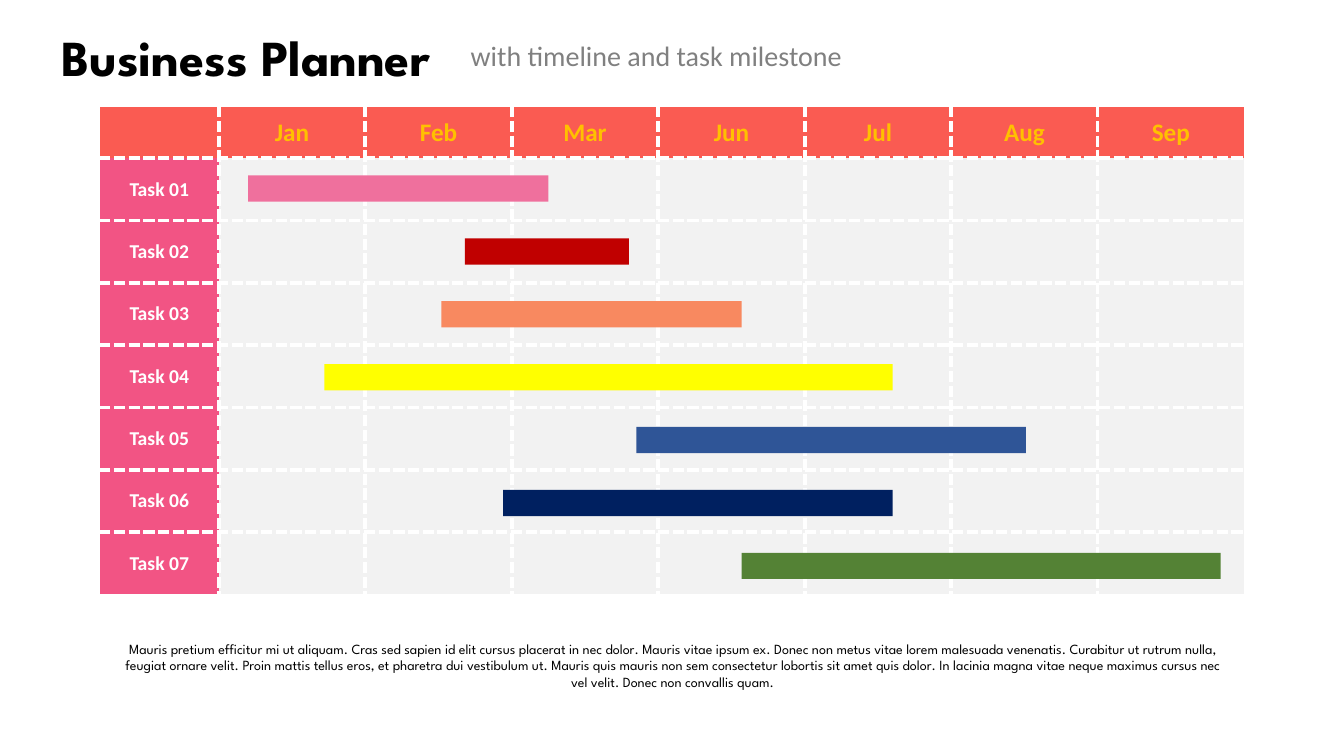
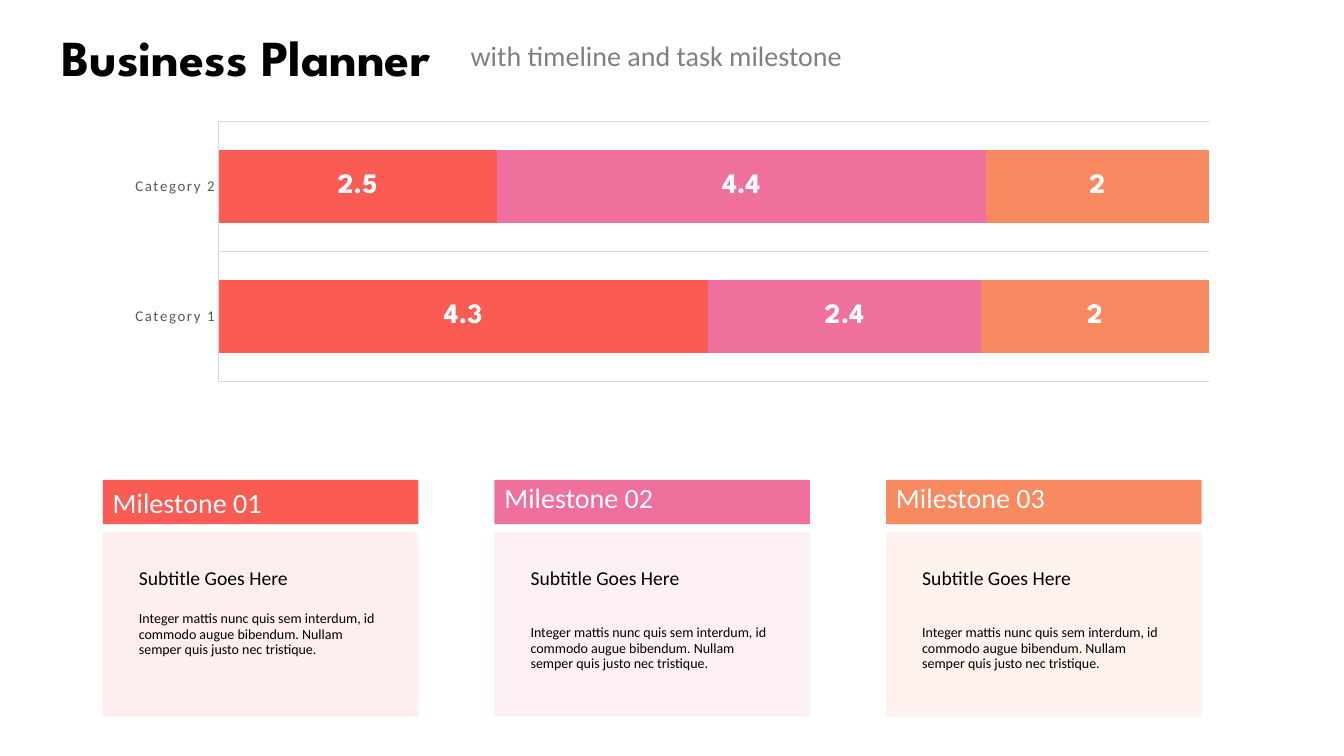
from dataclasses import dataclass

import lxml.etree
import pptx
import pptx.chart.data
import pptx.dml.color
import pptx.enum.chart
import pptx.enum.shapes
import pptx.enum.text
import pptx.oxml
import pptx.oxml.ns
import pptx.util

RGBColor = pptx.dml.color.RGBColor
Pt = pptx.util.Pt
Align = pptx.enum.text.PP_ALIGN
Anchor = pptx.enum.text.MSO_ANCHOR
qn = pptx.oxml.ns.qn

WIDTH, HEIGHT = pptx.util.Inches(13.33), pptx.util.Inches(7.5)

BLACK = RGBColor(0x00, 0x00, 0x00)
WHITE = RGBColor(0xFF, 0xFF, 0xFF)
GRAY = RGBColor(0x80, 0x80, 0x80)
SLATE = RGBColor(0x59, 0x59, 0x59)
RULE = RGBColor(0xD9, 0xD9, 0xD9)
PALE = RGBColor(0xF2, 0xF2, 0xF2)
GOLD = RGBColor(0xFF, 0xC0, 0x00)
CORAL = RGBColor(0xFA, 0x5B, 0x52)
ROSE = RGBColor(0xF2, 0x54, 0x84)
PINK = RGBColor(0xEF, 0x70, 0x9D)
PEACH = RGBColor(0xF8, 0x89, 0x60)
RED = RGBColor(0xC0, 0x00, 0x00)
YELLOW = RGBColor(0xFF, 0xFF, 0x00)
BLUE = RGBColor(0x2F, 0x55, 0x97)
NAVY = RGBColor(0x00, 0x20, 0x60)
GREEN = RGBColor(0x54, 0x82, 0x35)

HEAD_FONT, BODY_FONT = "League Spartan", "Calibri"

# Lengths are percent of the slide's width or height.
TABLE_X, TABLE_Y = 7.43, 14.13
TASK_W, MONTH_W = 8.85, 10.9
HEAD_H, TASK_H = 6.8, 8.25
BAR_Y, BAR_STEP, BAR_H = 23.2, 8.32, 3.47
CARD_X, CARD_STEP, CARD_W = 7.65, 29.14, 23.48
CARD_PAD = 1.95

MONTHS = ("Jan", "Feb", "Mar", "Jun", "Jul", "Aug", "Sep")
NOTE = (
    "Mauris pretium efficitur mi ut aliquam. Cras sed sapien id elit cursus placerat in nec dolor. "
    "Mauris vitae ipsum ex. Donec non metus vitae lorem malesuada venenatis. Curabitur ut rutrum "
    "nulla, feugiat ornare velit. Proin mattis tellus eros, et pharetra dui vestibulum ut. Mauris "
    "quis mauris non sem consectetur lobortis sit amet quis dolor. In lacinia magna vitae neque "
    "maximus cursus nec vel velit. Donec non convallis quam."
)
DETAIL = (
    "Integer mattis nunc quis sem interdum, id commodo augue bibendum. "
    "Nullam semper quis justo nec tristique."
)


@dataclass(frozen=True)
class Task:
    """A bar whose start and span are counted in months."""
    name: str
    start: float
    span: float
    color: RGBColor


@dataclass(frozen=True)
class Card:
    name: str
    color: RGBColor
    detail_y: float = 82.13
    anchor: Anchor = Anchor.TOP
    spacing: float = 0.9


@dataclass(frozen=True)
class Series:
    name: str
    values: tuple[float, ...]
    color: RGBColor


TASKS = (
    Task("Task 01", 0.2, 2.05, PINK),
    Task("Task 02", 1.68, 1.12, RED),
    Task("Task 03", 1.52, 2.05, PEACH),
    Task("Task 04", 0.72, 3.88, YELLOW),
    Task("Task 05", 2.85, 2.66, BLUE),
    Task("Task 06", 1.94, 2.66, NAVY),
    Task("Task 07", 3.57, 3.27, GREEN),
)
CARDS = (
    Card("Milestone 01", CORAL, 80.27, Anchor.MIDDLE, 1.0),
    Card("Milestone 02", PINK),
    Card("Milestone 03", PEACH),
)
SERIES = (
    Series("Series 1", (4.3, 2.5), CORAL),
    Series("Series 2", (2.4, 4.4), PINK),
    Series("Series 3", (2, 2), PEACH),
)


def across(share: float) -> int:
    return round(WIDTH * share / 100)


def down(share: float) -> int:
    return round(HEIGHT * share / 100)


def place(x: float, y: float, w: float, h: float) -> tuple[int, int, int, int]:
    return across(x), down(y), across(w), down(h)


def style(font, size: float, color: RGBColor, face: str = BODY_FONT, bold: bool = False) -> None:
    font.size, font.name, font.bold = Pt(size), face, bold
    font.color.rgb = color


def write(frame, text: str, *, size: float, color: RGBColor = BLACK, face: str = BODY_FONT,
          bold: bool = False, align: Align = Align.LEFT, anchor: Anchor = Anchor.TOP,
          spacing: float = 1.0) -> None:
    frame.word_wrap = True
    frame.vertical_anchor = anchor
    line = frame.paragraphs[0]
    line.alignment, line.line_spacing = align, spacing
    run = line.add_run()
    run.text = text
    style(run.font, size, color, face, bold)


def add_text(slide, box: tuple[int, int, int, int], text: str, **look) -> None:
    write(slide.shapes.add_textbox(*box).text_frame, text, **look)


def add_block(slide, box: tuple[int, int, int, int], color: RGBColor, alpha: int = 100):
    block = slide.shapes.add_shape(pptx.enum.shapes.MSO_SHAPE.RECTANGLE, *box)
    block.shadow.inherit = False
    block.fill.solid()
    block.fill.fore_color.rgb = color
    block.line.fill.background()
    if alpha < 100:
        tint = block._element.spPr.find(qn("a:solidFill")).find(qn("a:srgbClr"))
        lxml.etree.SubElement(tint, qn("a:alpha")).set("val", str(alpha * 1000))
    return block


def start_slide(deck):
    """Add a slide with the shared title and tagline."""
    slide = deck.slides.add_slide(deck.slide_layouts[5])
    title = slide.shapes.title
    title.left, title.top, title.width, title.height = place(2.4, 3.47, 31.8, 8)
    title.text_frame.auto_size = pptx.enum.text.MSO_AUTO_SIZE.NONE
    write(title.text_frame, "Business Planner", size=36, face=HEAD_FONT, bold=True,
          align=Align.CENTER, anchor=Anchor.MIDDLE)
    add_text(slide, place(34.28, 4.4, 35.25, 5.87), "with timeline and task milestone",
             size=20, color=GRAY, anchor=Anchor.MIDDLE)
    return slide


def dash_edges(cell, sides: str) -> None:
    """Put dashed white lines on the given sides, a subset of LRTB in that order."""
    props = cell._tc.get_or_add_tcPr()
    for spot, side in enumerate(sides):
        edge = lxml.etree.Element(qn(f"a:ln{side}"), w=str(Pt(3)))
        fill = lxml.etree.SubElement(edge, qn("a:solidFill"))
        lxml.etree.SubElement(fill, qn("a:srgbClr"), val=str(WHITE))
        lxml.etree.SubElement(edge, qn("a:prstDash"), val="sysDash")
        props.insert(spot, edge)


def paint_cell(cell, row: int, col: int) -> None:
    cell.fill.solid()
    cell.fill.fore_color.rgb = CORAL if row == 0 else ROSE if col == 0 else PALE
    inner = {"L": col > 0, "R": col < len(MONTHS), "T": row > 0, "B": row < len(TASKS)}
    dash_edges(cell, "".join(side for side, shown in inner.items() if shown))
    cell.vertical_anchor = Anchor.MIDDLE
    look = dict(bold=True, align=Align.CENTER, anchor=Anchor.MIDDLE)
    if row == 0 and col > 0:
        cell.margin_left = cell.margin_right = cell.margin_top = cell.margin_bottom = 0
        write(cell.text_frame, MONTHS[col - 1], size=18, color=GOLD, **look)
    elif col == 0 and row > 0:
        write(cell.text_frame, TASKS[row - 1].name, size=14, color=WHITE, **look)


def add_plan(slide) -> None:
    rows, cols = len(TASKS) + 1, len(MONTHS) + 1
    box = place(TABLE_X, TABLE_Y, TASK_W + MONTH_W * len(MONTHS), HEAD_H + TASK_H * len(TASKS))
    table = slide.shapes.add_table(rows, cols, *box).table
    table.first_row = table.horz_banding = False
    for col in range(cols):
        table.columns[col].width = across(MONTH_W if col else TASK_W)
    for row in range(rows):
        table.rows[row].height = down(TASK_H if row else HEAD_H)
        for col in range(cols):
            paint_cell(table.cell(row, col), row, col)


def add_bars(slide) -> None:
    for row, task in enumerate(TASKS):
        x = TABLE_X + TASK_W + task.start * MONTH_W
        add_block(slide, place(x, BAR_Y + row * BAR_STEP, task.span * MONTH_W, BAR_H), task.color)


def add_chart(slide) -> None:
    data = pptx.chart.data.CategoryChartData()
    data.categories = ["Category 1", "Category 2"]
    for item in SERIES:
        data.add_series(item.name, item.values)
    kind = pptx.enum.chart.XL_CHART_TYPE.BAR_STACKED_100
    chart = slide.shapes.add_chart(kind, *place(8.4, 15.33, 83.2, 35.87), data).chart
    chart.has_legend = chart.has_title = False
    style(chart.font, 10, BLACK)

    axis = chart.category_axis
    axis.major_tick_mark = pptx.enum.chart.XL_TICK_MARK.NONE
    axis.has_major_gridlines = True
    for line in (axis.format.line, axis.major_gridlines.format.line):
        line.color.rgb, line.width = RULE, Pt(0.75)
    style(axis.tick_labels.font, 10.6, SLATE)
    for props in axis._element.iter(qn("a:defRPr")):
        props.set("spc", "120")
    chart.value_axis.visible = False
    chart.value_axis.has_major_gridlines = False

    plot = chart.plots[0]
    plot.gap_width, plot.overlap, plot.vary_by_categories = 79, 100, False
    for item, series in zip(SERIES, plot.series):
        series.format.fill.solid()
        series.format.fill.fore_color.rgb = item.color
        labels = series.data_labels
        labels.show_value = True
        labels.position = pptx.enum.chart.XL_LABEL_POSITION.CENTER
        style(labels.font, 20, WHITE, HEAD_FONT, True)


def add_card(slide, card: Card, x: float) -> None:
    add_block(slide, place(x, 70.4, CARD_W, 24.4), card.color, alpha=10)
    head = add_block(slide, place(x, 63.47, CARD_W, 5.87), card.color)
    write(head.text_frame, card.name, size=20, color=WHITE, anchor=card.anchor,
          spacing=card.spacing)
    add_text(slide, place(x + CARD_PAD, 74.53, 16.65, 4.53), "Subtitle Goes Here",
             size=14, spacing=0.9)
    add_text(slide, place(x + CARD_PAD, card.detail_y, 19.05, 8.13), DETAIL,
             size=10, spacing=0.9)


def main() -> None:
    deck = pptx.Presentation()
    deck.slide_width, deck.slide_height = WIDTH, HEIGHT

    plan = start_slide(deck)
    add_plan(plan)
    add_bars(plan)
    add_text(plan, place(8.4, 84, 83.27, 8.13), NOTE, size=10, face=HEAD_FONT, align=Align.CENTER)

    goals = start_slide(deck)
    add_chart(goals)
    for spot, card in enumerate(CARDS):
        add_card(goals, card, CARD_X + spot * CARD_STEP)

    deck.save("out.pptx")


if __name__ == "__main__":
    main()
